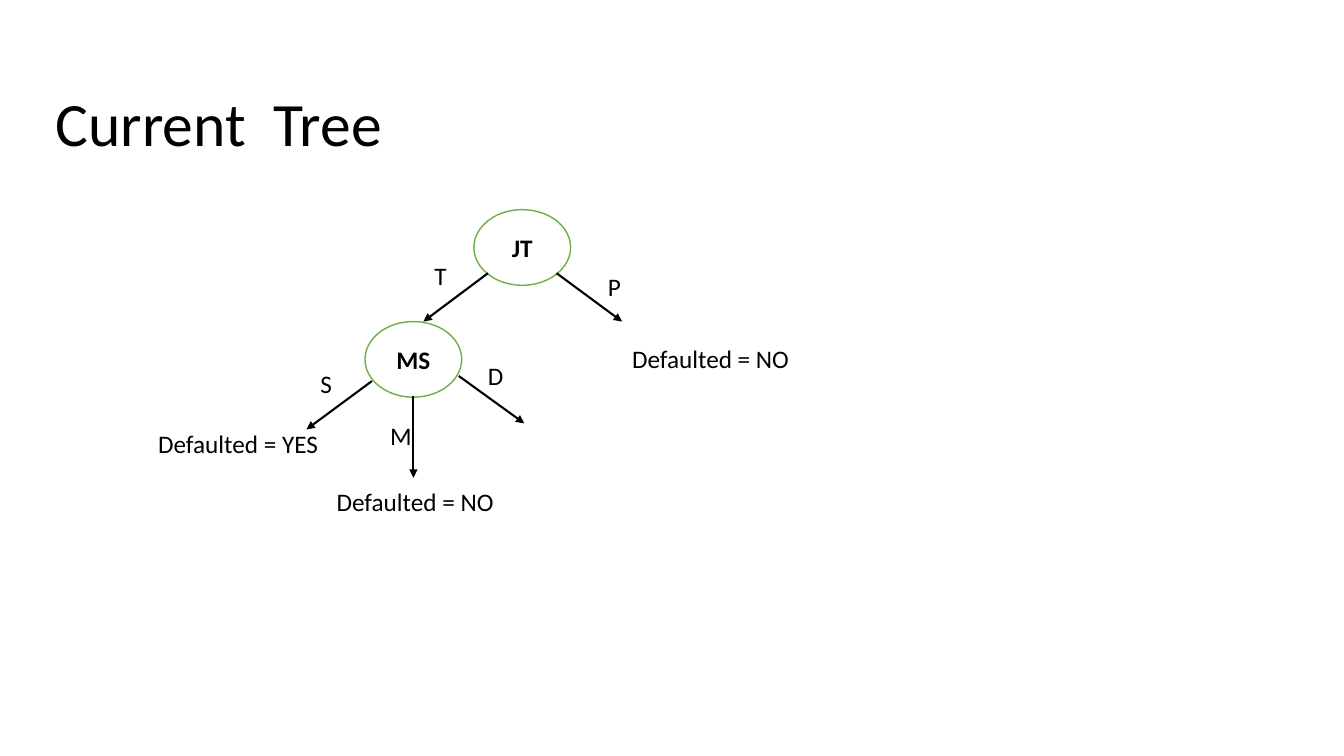
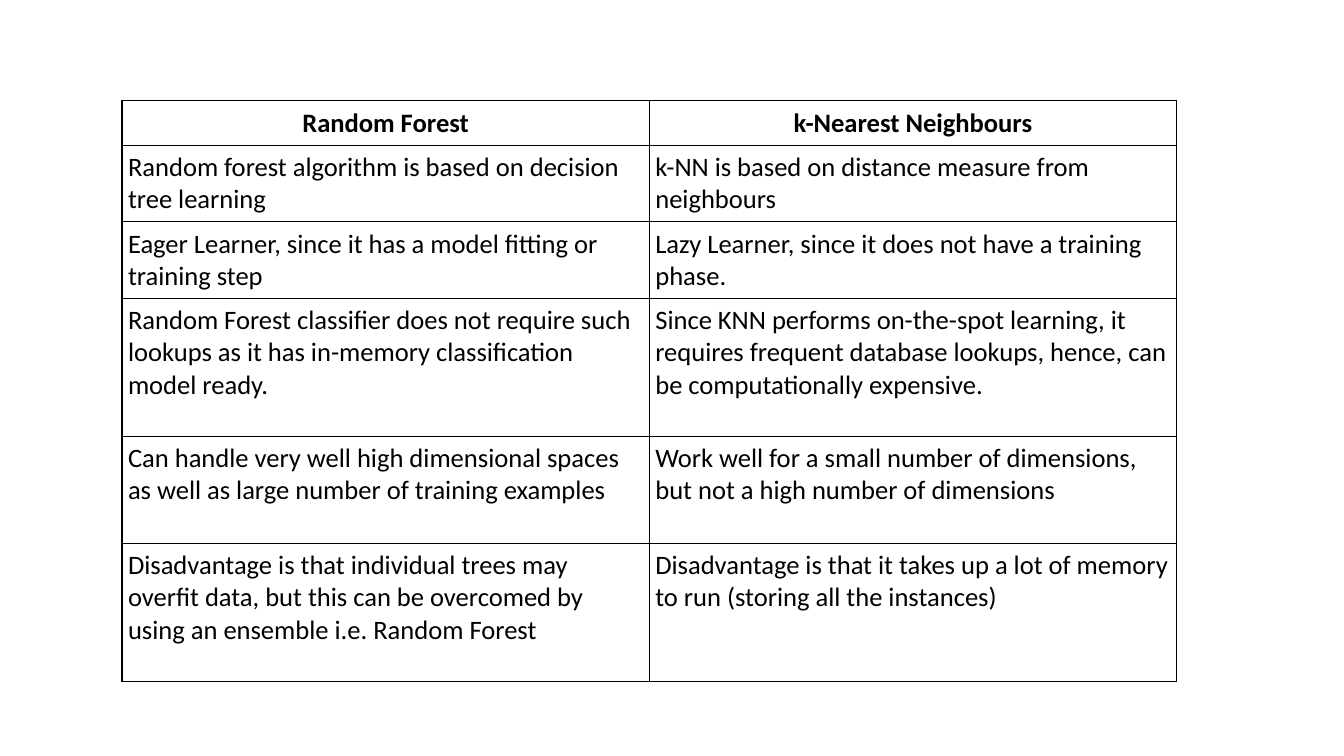
import dataclasses

import lxml.etree
import pptx
import pptx.dml.color
import pptx.enum.shapes
import pptx.enum.text
import pptx.oxml.ns
import pptx.presentation
import pptx.slide
import pptx.table
import pptx.text.text
import pptx.util

EMU_PER_PX = 9144  # 100 px to the inch
FONT = "Calibri"
COLOURS = {"ink": "000000", "paper": "FFFFFF", "node": "70AD47"}
Align = pptx.enum.text.PP_ALIGN
Anchor = pptx.enum.text.MSO_ANCHOR

NODE_WIDTH, NODE_HEIGHT = 96, 75
LABEL_HEIGHT = 40
COLUMN_WIDTH = 523
CELL_MARGIN = 6


@dataclasses.dataclass(frozen=True)
class Node:
    text: str
    left: int
    top: int


@dataclasses.dataclass(frozen=True)
class Branch:
    start_x: int
    start_y: int
    end_x: int
    end_y: int


@dataclasses.dataclass(frozen=True)
class Label:
    text: str
    left: int
    top: int
    width: int


@dataclasses.dataclass(frozen=True)
class Row:
    height: int
    forest: str
    neighbours: str


NODES = [Node("JT", 470, 208), Node("MS", 362, 319)]
BRANCHES = [
    Branch(484, 271, 420, 319),
    Branch(552, 271, 617, 319),
    Branch(369, 378, 304, 426),
    Branch(455, 373, 520, 420),
    Branch(410, 393, 410, 474),
]
LABELS = [
    Label("P", 593, 264, 33),
    Label("T", 421, 253, 32),
    Label("Defaulted = NO", 617, 336, 178),
    Label("S", 308, 361, 33),
    Label("M", 377, 412, 43),
    Label("D", 474, 353, 36),
    Label("Defaulted = NO", 324, 478, 178),
    Label("Defaulted = YES", 147, 420, 181),
]
ROWS = [
    Row(44, "Random Forest", "k-Nearest Neighbours"),
    Row(76, "Random forest algorithm is based on decision tree learning",
        "k-NN is based on distance measure from neighbours"),
    Row(76, "Eager Learner, since it has a model fitting or training step",
        "Lazy Learner, since it does not have a training phase."),
    Row(137, "Random Forest classifier does not require such lookups as it has "
        "in-memory classification model ready.",
        "Since KNN performs on-the-spot learning, it requires frequent database "
        "lookups, hence, can be computationally expensive."),
    Row(106, "Can handle very well high dimensional spaces as well as large "
        "number of training examples",
        "Work well for a small number of dimensions, but not a high number of "
        "dimensions"),
    Row(137, "Disadvantage is that individual trees may overfit data, but this can "
        "be overcomed by using an ensemble i.e. Random Forest",
        "Disadvantage is that it takes up a lot of memory to run (storing all the "
        "instances)"),
]


def px(length: int) -> pptx.util.Emu:
    return pptx.util.Emu(length * EMU_PER_PX)


def colour(name: str) -> pptx.dml.color.RGBColor:
    return pptx.dml.color.RGBColor.from_string(COLOURS[name])


def write(frame: pptx.text.text.TextFrame, text: str, size: int,
          bold: bool = False, align: Align = Align.LEFT) -> None:
    frame.text = text
    for para in frame.paragraphs:
        para.alignment = align
        for span in para.runs:
            span.font.name = FONT
            span.font.size = pptx.util.Pt(size)
            span.font.bold = bold
            span.font.color.rgb = colour("ink")


def add_title(page: pptx.slide.Slide, text: str) -> None:
    title = page.shapes.title
    title.left, title.top, title.width, title.height = map(px, (45, 43, 933, 165))
    frame = title.text_frame
    write(frame, text, 44)
    frame.auto_size = pptx.enum.text.MSO_AUTO_SIZE.NONE
    frame.vertical_anchor = Anchor.MIDDLE
    frame.paragraphs[0].line_spacing = 0.9


def add_node(page: pptx.slide.Slide, node: Node) -> None:
    shape = page.shapes.add_shape(
        pptx.enum.shapes.MSO_SHAPE.FLOWCHART_CONNECTOR,
        px(node.left), px(node.top), px(NODE_WIDTH), px(NODE_HEIGHT))
    shape.shadow.inherit = False
    shape.fill.solid()
    shape.fill.fore_color.rgb = colour("paper")
    shape.line.color.rgb = colour("node")
    shape.line.width = pptx.util.Pt(1)
    write(shape.text_frame, node.text, 18, bold=True, align=Align.CENTER)
    shape.text_frame.vertical_anchor = Anchor.MIDDLE


def add_branch(page: pptx.slide.Slide, branch: Branch) -> None:
    arrow = page.shapes.add_connector(
        pptx.enum.shapes.MSO_CONNECTOR.STRAIGHT,
        px(branch.start_x), px(branch.start_y), px(branch.end_x), px(branch.end_y))
    arrow.line.color.rgb = colour("ink")
    arrow.line.width = pptx.util.Pt(1.5)
    line = arrow.line._get_or_add_ln()
    lxml.etree.SubElement(line, pptx.oxml.ns.qn("a:tailEnd"), type="triangle")
    lxml.etree.SubElement(arrow._element.spPr, pptx.oxml.ns.qn("a:effectLst"))


def add_label(page: pptx.slide.Slide, label: Label) -> None:
    box = page.shapes.add_textbox(
        px(label.left), px(label.top), px(label.width), px(LABEL_HEIGHT))
    write(box.text_frame, label.text, 18)
    box.text_frame.word_wrap = False
    box.text_frame.auto_size = pptx.enum.text.MSO_AUTO_SIZE.SHAPE_TO_FIT_TEXT


def add_borders(cell: pptx.table._Cell) -> None:
    properties = cell._tc.get_or_add_tcPr()
    for side in ("lnL", "lnR", "lnT", "lnB"):
        line = lxml.etree.SubElement(
            properties, pptx.oxml.ns.qn(f"a:{side}"), w=str(pptx.util.Pt(1)))
        fill = lxml.etree.SubElement(line, pptx.oxml.ns.qn("a:solidFill"))
        lxml.etree.SubElement(
            fill, pptx.oxml.ns.qn("a:srgbClr"), val=COLOURS["ink"])


def add_comparison(page: pptx.slide.Slide, rows: list[Row]) -> None:
    table = page.shapes.add_table(
        len(rows), 2, px(121), px(100), px(2 * COLUMN_WIDTH),
        px(sum(row.height for row in rows))).table
    table.horz_banding = False
    table.first_row = False
    for column in table.columns:
        column.width = px(COLUMN_WIDTH)
    for row_index, row in enumerate(rows):
        table.rows[row_index].height = px(row.height)
        header = row_index == 0
        for column_index, text in enumerate((row.forest, row.neighbours)):
            cell = table.cell(row_index, column_index)
            cell.margin_left = cell.margin_right = px(CELL_MARGIN)
            cell.margin_top = cell.margin_bottom = px(CELL_MARGIN)
            add_borders(cell)
            cell.fill.background()
            write(cell.text_frame, text, 19, bold=header,
                  align=Align.CENTER if header else Align.LEFT)


def add_tree_page(deck: pptx.presentation.Presentation) -> None:
    page = deck.slides.add_slide(deck.slide_layouts.get_by_name("Title Only"))
    add_title(page, "Current  Tree")
    for node in NODES:
        add_node(page, node)
    for branch in BRANCHES:
        add_branch(page, branch)
    for label in LABELS:
        add_label(page, label)


def add_comparison_page(deck: pptx.presentation.Presentation) -> None:
    page = deck.slides.add_slide(deck.slide_layouts.get_by_name("Blank"))
    add_comparison(page, ROWS)


def main() -> None:
    deck = pptx.Presentation()
    deck.slide_width, deck.slide_height = px(1333), px(750)
    add_tree_page(deck)
    add_comparison_page(deck)
    deck.save("out.pptx")


if __name__ == "__main__":
    main()
